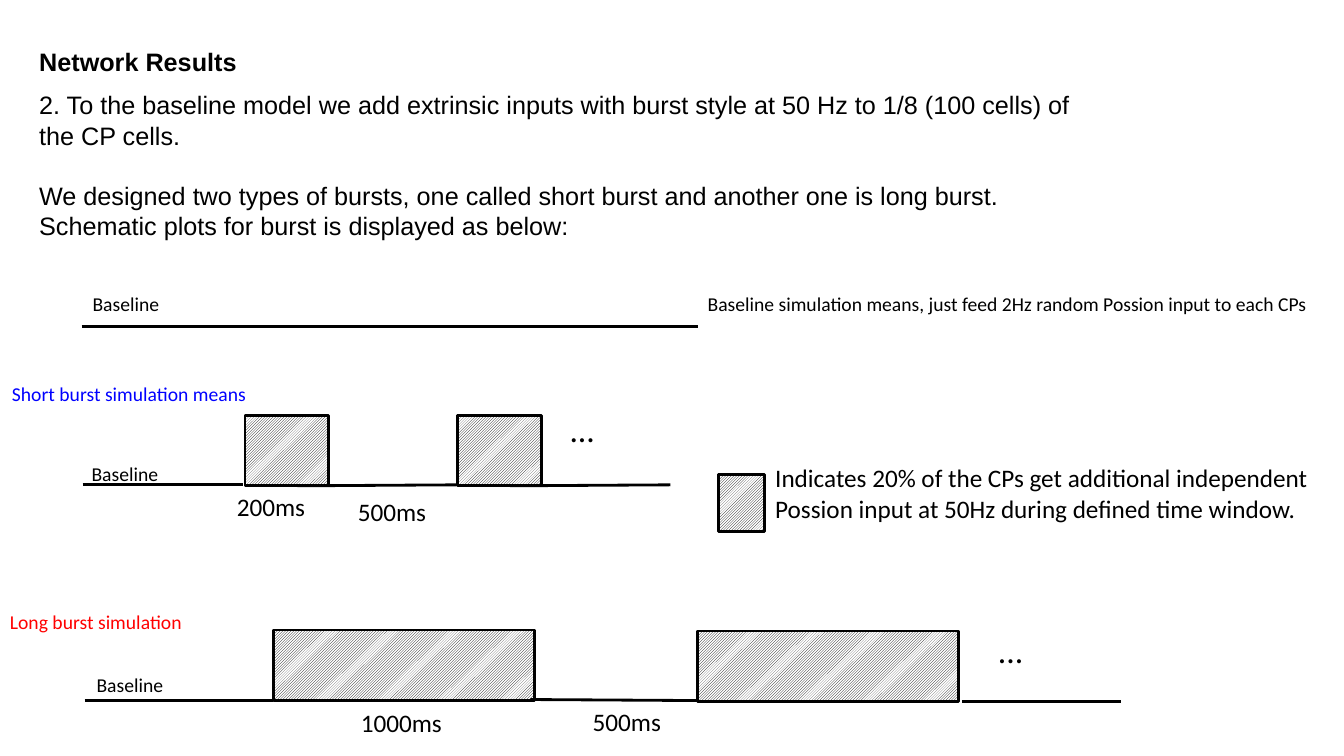
from dataclasses import dataclass

from lxml import etree
from pptx import Presentation
from pptx import util as u
from pptx.enum import dml, shapes, text
from pptx.dml.color import RGBColor
from pptx.oxml.ns import qn

EMU_PER_PX = 9144  # 100 px to the inch
COLORS = {"black": "000000", "white": "FFFFFF", "blue": "0000FF", "red": "FF0000"}


@dataclass
class Burst:
    left: int
    top: int
    width: int
    height: int


@dataclass
class Line:
    x1: int
    y1: int
    x2: int
    y2: int


@dataclass
class Label:
    left: int
    top: int
    width: int
    height: int
    wording: str
    size: int = 14
    color: str = "black"


def px(length: int) -> u.Emu:
    return u.Emu(length * EMU_PER_PX)


def rgb(name: str) -> RGBColor:
    return RGBColor.from_string(COLORS[name])


def add_text(slide, left: int, top: int, width: int, height: int, wording: str, *,
             size: int = 18, font: str = "Calibri", color: str = "black",
             bold: bool = False, wrap: bool = False, gap: float = 0) -> None:
    """Each line of the wording is a paragraph; gap is the space between them."""
    shape = slide.shapes.add_textbox(px(left), px(top), px(width), px(height))
    frame = shape.text_frame
    frame.word_wrap = wrap
    frame.auto_size = text.MSO_AUTO_SIZE.SHAPE_TO_FIT_TEXT
    frame.text = wording
    for index, paragraph in enumerate(frame.paragraphs):
        if index:
            paragraph.space_before = u.Pt(gap)
        for run in paragraph.runs:
            run.font.name = font
            run.font.size = u.Pt(size)
            run.font.bold = bold
            run.font.color.rgb = rgb(color)


def add_burst(slide, burst: Burst) -> None:
    shape = slide.shapes.add_shape(shapes.MSO_SHAPE.RECTANGLE, px(burst.left),
                                   px(burst.top), px(burst.width), px(burst.height))
    shape.shadow.inherit = False
    shape.fill.patterned()
    shape.fill.pattern = dml.MSO_PATTERN.DARK_UPWARD_DIAGONAL
    shape.fill.fore_color.rgb = rgb("black")
    shape.fill.back_color.rgb = rgb("white")
    shape.line.color.rgb = rgb("black")
    shape.line.width = u.Pt(2)


def add_line(slide, line: Line) -> None:
    connector = slide.shapes.add_connector(shapes.MSO_CONNECTOR.STRAIGHT, px(line.x1),
                                           px(line.y1), px(line.x2), px(line.y2))
    connector.line.color.rgb = rgb("black")
    connector.line.width = u.Pt(2)
    properties = connector.element.find(qn("p:spPr"))
    etree.SubElement(properties, qn("a:effectLst"))


BURSTS = [
    # Short bursts
    Burst(243, 412, 83, 70),
    Burst(454, 412, 83, 70),
    # Long bursts
    Burst(271, 625, 259, 70),
    Burst(692, 626, 259, 70),
    # Legend
    Burst(713, 471, 45, 56),
]

LINES = [
    # Baseline
    Line(81, 324, 692, 324),
    # Short burst
    Line(82, 481, 241, 481),
    Line(295, 482, 454, 481),
    Line(506, 482, 665, 481),
    # Long burst
    Line(84, 695, 271, 695),
    Line(526, 694, 692, 695),
    Line(954, 696, 1112, 696),
]

LABELS = [
    # Baseline
    Label(82, 285, 87, 34, "Baseline"),
    Label(692, 285, 616, 34,
          "Baseline simulation means, just feed 2Hz random Possion input to each CPs"),
    # Short burst
    Label(2, 374, 255, 34, "Short burst simulation means", color="blue"),
    Label(81, 453, 87, 34, "Baseline"),
    Label(555, 401, 45, 50, "...", size=24),
    Label(225, 483, 89, 40, "200ms", size=18),
    Label(345, 487, 89, 40, "500ms", size=18),
    # Long burst
    Label(0, 600, 192, 34, "Long burst simulation", color="red"),
    Label(86, 663, 87, 34, "Baseline"),
    Label(980, 620, 47, 50, "...", size=24),
    Label(348, 697, 101, 40, "1000ms", size=18),
    Label(578, 696, 89, 40, "500ms", size=18),
    # Legend
    Label(759, 454, 561, 71,
          "Indicates 20% of the CPs get additional independent\n"
          "Possion input at 50Hz during defined time window.", size=18),
]


def main() -> None:
    presentation = Presentation()
    presentation.slide_width = u.Inches(13.33)
    presentation.slide_height = u.Inches(7.5)
    slide = presentation.slides.add_slide(presentation.slide_layouts[6])

    # Heading and introduction
    add_text(slide, 29, 41, 1138, 40, "Network Results", font="Arial", bold=True, wrap=True)
    add_text(slide, 29, 84, 1078, 162,
             "2. To the baseline model we add extrinsic inputs with burst style at 50 Hz "
             "to 1/8 (100 cells) of the CP cells.\n"
             "We designed two types of bursts, one called short burst and another one is "
             "long burst. Schematic plots for burst is displayed as below:",
             font="Arial", wrap=True, gap=21.6)

    # Burst diagrams
    for burst in BURSTS:
        add_burst(slide, burst)
    for line in LINES:
        add_line(slide, line)
    for label in LABELS:
        add_text(slide, label.left, label.top, label.width, label.height,
                 label.wording, size=label.size, color=label.color)

    presentation.save("out.pptx")


if __name__ == "__main__":
    main()
